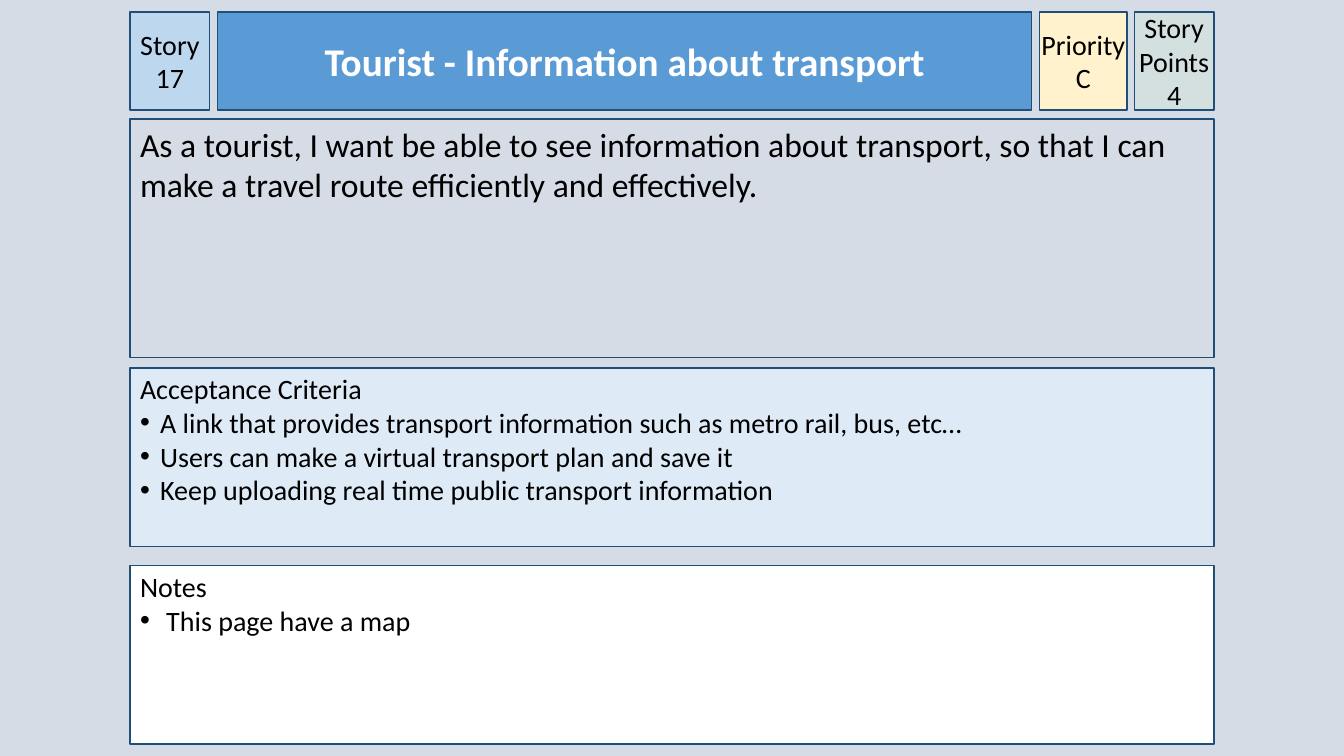
from lxml.etree import SubElement
from pptx import Presentation
from pptx.dml.color import RGBColor
from pptx.enum.shapes import MSO_SHAPE
from pptx.enum.text import MSO_ANCHOR, PP_ALIGN
from pptx.oxml.ns import qn
from pptx.util import Inches, Pt

COLORS = {
    "background": "D6DCE5",
    "border": "1F4E79",
    "story": "BDD7EE",
    "title": "5B9BD5",
    "criteria": "DEEBF7",
    "points": "CCF0CD",
    "priority": "FFF2CC",
    "white": "FFFFFF",
    "black": "000000",
}
LEFT, WIDTH = 1.29, 10.75
HEADER_TOP, HEADER_HEIGHT = 0.12, 0.97


def rgb(name):
    return RGBColor.from_string(COLORS[name])


class StoryCard:
    font_name = "Calibri"

    def __init__(self, deck):
        self.page = deck.slides.add_slide(deck.slide_layouts[6])
        fill = self.page.background.fill
        fill.solid()
        fill.fore_color.rgb = rgb("background")

    def box(self, left, top, width, height, color, opacity=None):
        box = self.page.shapes.add_shape(
            MSO_SHAPE.RECTANGLE, Inches(left), Inches(top), Inches(width), Inches(height))
        box.shadow.inherit = False
        box.fill.solid()
        box.fill.fore_color.rgb = rgb(color)
        if opacity is not None:
            tint = box.element.spPr.find(qn("a:solidFill"))[0]
            SubElement(tint, qn("a:alpha"), val=str(opacity * 1000))
        box.line.color.rgb = rgb("border")
        box.line.width = Pt(1)
        box.text_frame.word_wrap = True
        return box

    def bullet(self, para, indent):
        properties = para._p.get_or_add_pPr()
        properties.set("marL", str(Inches(indent)))
        properties.set("indent", str(-Inches(indent)))
        SubElement(properties, qn("a:buFont"), typeface="Arial")
        SubElement(properties, qn("a:buChar"), char="•")

    def add_lines(self, box, lines, size, color="black", bold=False,
                  align=PP_ALIGN.LEFT, anchor=MSO_ANCHOR.TOP, indent=0.2):
        """Fill the box; every line after the first is bulleted if left aligned."""
        frame = box.text_frame
        frame.vertical_anchor = anchor
        for index, line in enumerate(lines):
            para = frame.add_paragraph() if index else frame.paragraphs[0]
            para.alignment = align
            if index and align == PP_ALIGN.LEFT:
                self.bullet(para, indent)
            para.add_run().text = line
            para.font.name = self.font_name
            para.font.size = Pt(size)
            para.font.bold = bold
            para.font.color.rgb = rgb(color)

    def header(self, left, width, color, lines, size=20, text_color="black",
               bold=False, margin=0, wrap=True, opacity=None):
        box = self.box(left, HEADER_TOP, width, HEADER_HEIGHT, color, opacity)
        box.text_frame.margin_left = box.text_frame.margin_right = Inches(margin)
        box.text_frame.word_wrap = wrap
        self.add_lines(box, lines, size, text_color, bold, PP_ALIGN.CENTER, MSO_ANCHOR.MIDDLE)

    def panel(self, top, height, color, lines, size=20, margin_top=0.04, indent=0.2):
        box = self.box(LEFT, top, WIDTH, height, color)
        box.text_frame.margin_top = Inches(margin_top)
        self.add_lines(box, lines, size, indent=indent)


def main():
    deck = Presentation()
    deck.slide_width, deck.slide_height = Inches(13.33), Inches(7.5)
    card = StoryCard(deck)

    # Header row
    card.header(LEFT, 0.79, "story", ["Story 17"])
    card.header(2.16, 8.07, "title", ["Tourist - Information about transport"],
                size=28, text_color="white", bold=True, margin=0.1)
    card.header(10.31, 0.87, "priority", ["Priority", "C"], wrap=False)
    card.header(11.25, 0.79, "points", ["Story Points", "4"], opacity=20)

    # User story
    card.panel(1.18, 2.37, "background", [
        "As a tourist, I want be able to see information about transport, "
        "so that I can make a travel route efficiently and effectively.",
    ], size=24, margin_top=0.05)

    # Acceptance criteria
    card.panel(3.65, 1.77, "criteria", [
        "Acceptance Criteria",
        "A link that provides transport information such as metro rail, bus, etc…",
        "Users can make a virtual transport plan and save it",
        "Keep uploading real time public transport information",
    ])

    # Notes
    card.panel(5.61, 1.77, "white", ["Notes", "This page have a map"], indent=0.26)

    deck.save("out.pptx")


if __name__ == "__main__":
    main()
